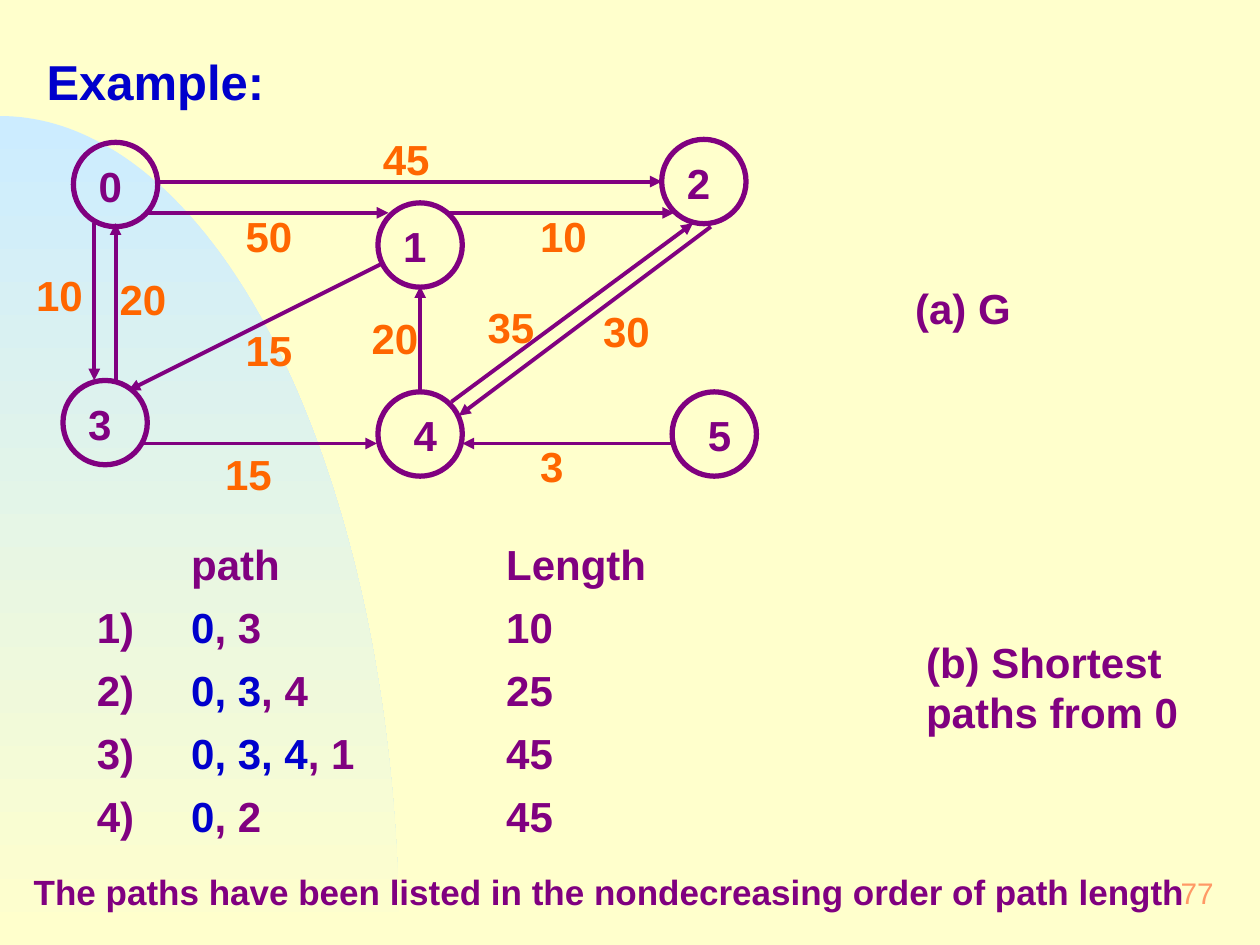
import math
from dataclasses import dataclass

from lxml import etree
from pptx import Presentation
from pptx import util as u
from pptx.dml import color
from pptx.enum import shapes, text
from pptx.oxml import ns


@dataclass(frozen=True)
class Theme:
    font: str = "Arial"
    background: str = "FFFFCC"
    arc_top: str = "CCECFF"
    ink: str = "800080"
    accent: str = "0000CC"
    weight: str = "FF6600"
    page: str = "FF9966"
    title_size: int = 28
    body_size: int = 24
    note_size: int = 20
    page_size: int = 17
    node_line: float = 3
    edge_line: float = 2.25


THEME = Theme()
DIAMETER = 1.7
WIDE_INSET = (0.3, 0.15)
INSET = (0.25, 0.13)
NO_GRID_STYLE = "{2D5ABB26-0587-4C30-8999-92F81FD0307C}"

# Node: left, top, label offset (cm)
NODES = {
    "0": (1.48, 2.87, 0.21),
    "1": (7.62, 4.09, 0.21),
    "2": (13.34, 2.81, 0.21),
    "3": (1.27, 7.67, 0.21),
    "4": (7.62, 7.9, 0.42),
    "5": (13.55, 7.9, 0.42),
}

# Edge: weight, start, end, left and top of the weight label (cm)
EDGES = [
    ("45", (3.18, 3.66), (13.34, 3.66), (7.42, 2.54)),
    ("50", (2.97, 4.29), (7.83, 4.29), (4.65, 4.09)),
    ("10", (9.02, 4.29), (13.59, 4.29), (10.59, 4.09)),
    ("10", (1.9, 4.5), (1.9, 7.67), (0.43, 5.28)),
    ("20", (2.33, 7.67), (2.33, 4.5), (2.11, 5.36)),
    ("15", (7.67, 5.33), (2.59, 7.87), (4.65, 6.4)),
    ("20", (8.47, 7.9), (8.47, 5.77), (7.19, 6.15)),
    ("35", (9.1, 8.1), (13.97, 4.5), (9.53, 5.92)),
    ("30", (14.33, 4.57), (9.25, 8.38), (11.86, 6)),
    ("15", (2.82, 8.94), (7.6, 8.94), (4.24, 8.89)),
    ("3", (13.55, 8.94), (9.32, 8.94), (10.59, 8.74)),
]

# Already reached vertices, newly reached vertex, length
PATHS = [("0", "3", "10"), ("0, 3", "4", "25"),
         ("0, 3, 4", "1", "45"), ("0", "2", "45")]


def rgb(value):
    return color.RGBColor.from_string(value)


def style_run(run, size, ink, bold=True):
    run.font.name = THEME.font
    run.font.size = u.Pt(size)
    run.font.bold = bold
    run.font.color.rgb = rgb(ink)


def add_label(slide, content, left, top, width, height, size=THEME.body_size,
              ink=THEME.ink, bold=True, inset=INSET):
    box = slide.shapes.add_textbox(u.Cm(left), u.Cm(top), u.Cm(width), u.Cm(height))
    frame = box.text_frame
    frame.word_wrap = True
    frame.margin_left = frame.margin_right = u.Cm(inset[0])
    frame.margin_top = frame.margin_bottom = u.Cm(inset[1])
    frame.text = content
    style_run(frame.paragraphs[0].runs[0], size, ink, bold)
    return frame


def add_arc(slide, radius_x, radius_y, base, steps=90):
    """Quarter ellipse rising from the lower left corner."""
    angles = [math.pi / 2 * step / steps for step in range(steps + 1)]
    points = [(u.Cm(radius_x * math.sin(a)), u.Cm(base - radius_y * math.cos(a)))
              for a in angles]
    builder = slide.shapes.build_freeform(*points[0])
    builder.add_line_segments(points[1:] + [(0, u.Cm(base))], close=True)
    arc = builder.convert_to_shape()
    arc.shadow.inherit = False
    arc.line.fill.background()
    arc.fill.gradient()
    arc.fill.gradient_angle = 270
    for stop, value in zip(arc.fill.gradient_stops, (THEME.arc_top, THEME.background)):
        stop.color.rgb = rgb(value)


def add_node(slide, name, left, top, offset):
    circle = slide.shapes.add_shape(shapes.MSO_SHAPE.OVAL, u.Cm(left), u.Cm(top),
                                    u.Cm(DIAMETER), u.Cm(DIAMETER))
    circle.shadow.inherit = False
    circle.fill.background()
    circle.line.color.rgb = rgb(THEME.ink)
    circle.line.width = u.Pt(THEME.node_line)
    add_label(slide, name, left + offset, top + 0.21, 1.27, 1.32, inset=WIDE_INSET)


def add_edge(slide, weight, start, end, label_at):
    edge = slide.shapes.add_connector(shapes.MSO_CONNECTOR.STRAIGHT,
                                      *map(u.Cm, start + end))
    edge.line.color.rgb = rgb(THEME.ink)
    edge.line.width = u.Pt(THEME.edge_line)
    etree.SubElement(edge.line._get_or_add_ln(), ns.qn("a:tailEnd"), type="triangle")
    etree.SubElement(edge._element.spPr, ns.qn("a:effectLst"))
    add_label(slide, weight, *label_at, 1.9, 1.32, ink=THEME.weight, inset=WIDE_INSET)


def fill_cell(cell, parts):
    cell.fill.background()
    paragraph = cell.text_frame.paragraphs[0]
    for content, ink in parts:
        run = paragraph.add_run()
        run.text = content
        style_run(run, THEME.body_size, ink)


def add_path_table(slide):
    rows = [([], [("path", THEME.ink)], [("Length", THEME.ink)])]
    for number, (reached, last, length) in enumerate(PATHS, 1):
        rows.append(([(f"{number})", THEME.ink)],
                     [(reached, THEME.accent), (f", {last}", THEME.ink)],
                     [(length, THEME.ink)]))
    table = slide.shapes.add_table(len(rows), 3, u.Cm(1.7), u.Cm(10.8),
                                   u.Cm(12.7), u.Cm(6.35)).table
    table.first_row = table.horz_banding = False
    table._tbl.tblPr.find(ns.qn("a:tableStyleId")).text = NO_GRID_STYLE
    for column, width in zip(table.columns, (1.9, 6.35, 4.45)):
        column.width = u.Cm(width)
    for row, contents in zip(table.rows, rows):
        for cell, parts in zip(row.cells, contents):
            fill_cell(cell, parts)


def main():
    presentation = Presentation()
    presentation.slide_width, presentation.slide_height = u.Cm(25.4), u.Cm(19.05)
    slide = presentation.slides.add_slide(presentation.slide_layouts[6])

    # Background
    slide.background.fill.solid()
    slide.background.fill.fore_color.rgb = rgb(THEME.background)
    add_arc(slide, 8.05, 16.71, 19.05)

    # Title and page number
    add_label(slide, "Example:", 0.64, 0.89, 24.33, 1.5, THEME.title_size,
              THEME.accent, inset=WIDE_INSET)
    page = add_label(slide, "77", 19.48, 17.36, 5.29, 1.27, THEME.page_size,
                     THEME.page, bold=False, inset=WIDE_INSET)
    page.vertical_anchor = text.MSO_ANCHOR.MIDDLE
    page.paragraphs[0].alignment = text.PP_ALIGN.RIGHT

    # Graph
    for name, place in NODES.items():
        add_node(slide, name, *place)
    for edge in EDGES:
        add_edge(slide, *edge)
    add_label(slide, "(a) G", 18.2, 5.56, 2.75, 1.27)

    # Shortest paths
    add_path_table(slide)
    add_label(slide, "(b) Shortest paths from 0", 18.42, 12.7, 5.93, 2.29)
    add_label(slide, "The paths have been listed in the nondecreasing order of path length",
              0.43, 17.42, 24.56, 1.12, THEME.note_size)

    presentation.save("out.pptx")


if __name__ == "__main__":
    main()
